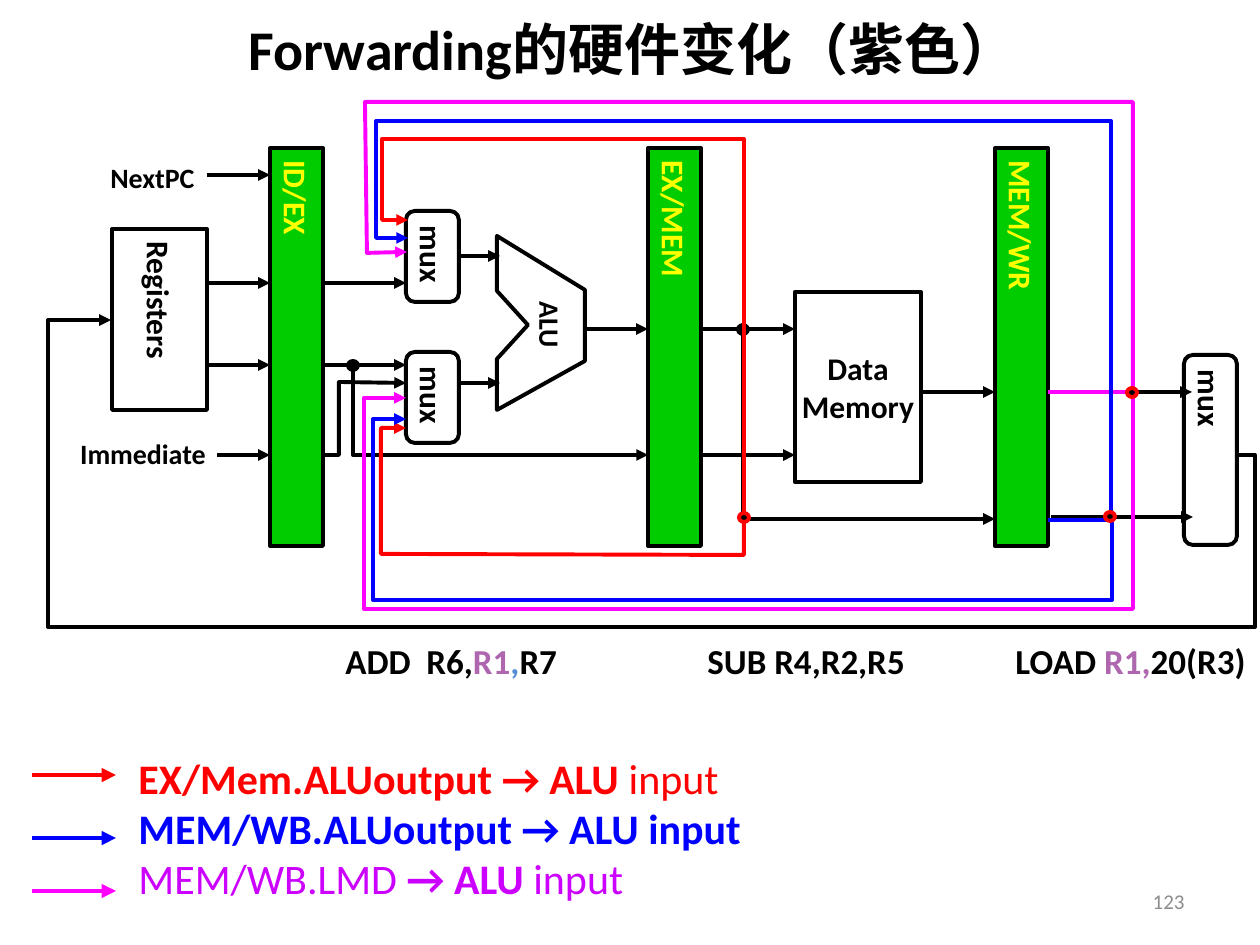
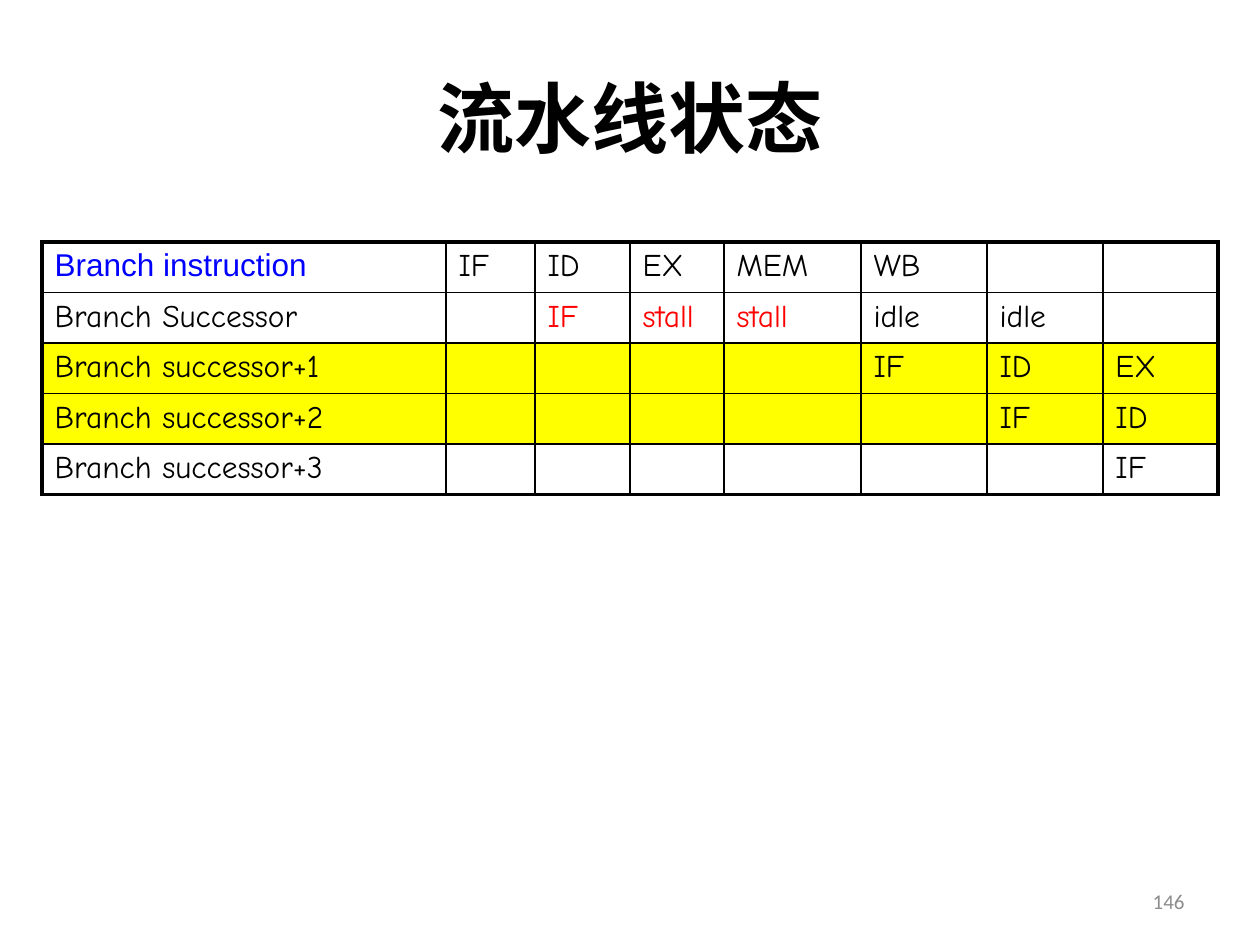
"""Build two slides on pipeline forwarding hardware and branch stalls."""
import pptx
import pptx.util
import pptx.dml.color
import pptx.enum.shapes
import pptx.enum.text
import pptx.oxml
import pptx.oxml.ns
from lxml import etree

PX = 914400 / 126
COLORS = {"black": "000000", "white": "FFFFFF", "green": "00CC00", "yellow": "FFFF00",
          "red": "FF0000", "blue": "0000FF", "magenta": "FF00FF", "violet": "CC00FF",
          "plum": "AE66AE", "steel": "558ED5", "gray": "8C8C8C"}
RGB = {name: pptx.dml.color.RGBColor.from_string(h) for name, h in COLORS.items()}
SHAPE = pptx.enum.shapes.MSO_SHAPE
ALIGN = pptx.enum.text.PP_ALIGN
ANCHOR = pptx.enum.text.MSO_ANCHOR
qn = pptx.oxml.ns.qn


def write(tf, paragraphs, size, align=ALIGN.LEFT, anchor=ANCHOR.MIDDLE, wrap=False, font="Calibri"):
    """Fill a text frame with paragraphs of (text, colour, bold) runs."""
    tf.word_wrap = wrap
    tf.vertical_anchor = anchor
    for i, runs in enumerate(paragraphs):
        p = tf.paragraphs[0] if i == 0 else tf.add_paragraph()
        p.alignment = align
        for text, color, bold in runs:
            r = p.add_run()
            r.text = text
            r.font.name = font
            r.font.size = pptx.util.Pt(size)
            r.font.bold = bold
            r.font.color.rgb = RGB[color]


def outline(sp, color, width=2.25, head=False):
    """Set a line colour and width, an optional arrowhead, and no shadow."""
    sp.line.color.rgb = RGB[color]
    sp.line.width = pptx.util.Pt(width)
    if head:
        etree.SubElement(sp.line._get_or_add_ln(), qn("a:tailEnd"), type="triangle")
    etree.SubElement(sp._element.spPr, qn("a:effectLst"))


prs = pptx.Presentation()
prs.slide_width, prs.slide_height = round(1260 * PX), round(945 * PX)

slides = []
for title, size, box, number in [
    ("Forwarding的硬件变化（紫色）", 32, (66, 0, 1134, 97), "123"),
    ("流水线状态", 44, (63, 38, 1134, 158), "146"),
]:
    s = prs.slides.add_slide(prs.slide_layouts[5])
    sp = s.shapes.title
    sp.left, sp.top, sp.width, sp.height = [round(v * PX) for v in box]
    write(sp.text_frame, [[(title, "black", True)]], size, ALIGN.CENTER, wrap=True)
    sp = s.shapes.add_textbox(*[round(v * PX) for v in (903, 876, 294, 50)])
    write(sp.text_frame, [[(number, "gray", False)]], 12, ALIGN.RIGHT, wrap=True)
    slides.append(s)

s = slides[0]
blocks = [
    (SHAPE.RECTANGLE, (270, 148, 53, 398), ["ID/EX"], "green", True),
    (SHAPE.RECTANGLE, (648, 148, 53, 398), ["EX/MEM"], "green", True),
    (SHAPE.RECTANGLE, (995, 148, 53, 398), ["MEM/WR"], "green", True),
    (SHAPE.RECTANGLE, (795, 292, 126, 190), ["Data", "Memory"], None, False),
    (SHAPE.RECTANGLE, (112, 229, 95, 181), ["Registers"], None, True),
    (SHAPE.ROUNDED_RECTANGLE, (406, 211, 53, 91), ["mux"], None, True),
    (SHAPE.ROUNDED_RECTANGLE, (406, 352, 53, 91), ["mux"], None, True),
    (SHAPE.ROUNDED_RECTANGLE, (1184, 355, 53, 190), ["mux"], None, True),
]
for kind, box, lines, fill, vertical in blocks:
    sp = s.shapes.add_shape(kind, *[round(v * PX) for v in box])
    if fill:
        sp.fill.solid()
        sp.fill.fore_color.rgb = RGB[fill]
    else:
        sp.fill.background()
    outline(sp, "black")
    color = "yellow" if fill else "black"
    write(sp.text_frame, [[(t, color, True)] for t in lines], 18, ALIGN.CENTER)
    if vertical:
        sp.text_frame._txBody.bodyPr.set("vert", "eaVert")

alu = [(497, 236), (585, 290), (585, 361), (497, 410), (497, 359), (528, 325), (497, 291)]
fb = s.shapes.build_freeform(*alu[0], scale=PX)
fb.add_line_segments(alu[1:], close=True)
sp = fb.convert_to_shape()
sp.fill.background()
outline(sp, "black")

for text, box, angle in [("ALU", (514, 301, 73, 47), 90),
                         ("NextPC", (97, 154, 111, 47), 0),
                         ("Immediate", (67, 430, 152, 47), 0)]:
    sp = s.shapes.add_textbox(*[round(v * PX) for v in box])
    sp.rotation = angle
    write(sp.text_frame, [[(text, "black", True)]], 16, ALIGN.CENTER)

straight = [(459, 256, 500), (459, 383, 500), (207, 283, 270), (207, 365, 270),
            (321, 283, 406), (321, 365, 406), (207, 175, 270), (217, 455, 270),
            (699, 455, 795), (585, 329, 648), (699, 329, 795), (921, 392, 995),
            (1051, 517, 1193), (1048, 392, 1192)]
wires = [("black", [(x1, y), (x2, y)]) for x1, y, x2 in straight]
wires += [
    ("black", [(321, 455), (339, 455), (339, 382), (406, 383)]),
    ("black", [(353, 365), (353, 455), (648, 455)]),
    ("black", [(743, 329), (743, 519), (995, 519)]),
    ("black", [(1235, 455), (1255, 455), (1255, 627), (48, 627), (48, 320), (111, 320)]),
]
forwards = [
    ("red", [(744, 519), (744, 555), (381, 554), (381, 428), (406, 428)]),
    ("magenta", [(1133, 392), (1133, 102), (365, 102), (367, 253), (407, 252)]),
    ("blue", [(1048, 520), (1112, 520), (1112, 600), (373, 600), (373, 419), (406, 419)]),
    ("magenta", [(1048, 392), (1133, 392), (1133, 609), (364, 609), (364, 398), (406, 398)]),
    ("red", [(744, 519), (744, 139), (382, 139), (382, 220), (408, 220)]),
    ("blue", [(1111, 519), (1111, 121), (376, 121), (376, 238), (408, 238)]),
]
legend = [("red", [(32, 775), (116, 775)]), ("blue", [(32, 838), (116, 838)]),
          ("magenta", [(32, 891), (116, 891)])]
black_dots = [("black", [(743, 329)]), ("black", [(353, 365)])]
red_dots = [("red", [(744, 517)]), ("red", [(1110, 516)]), ("red", [(1132, 392)])]

for color, points in wires + black_dots + forwards + red_dots + legend:
    if len(points) == 1:
        x, y = points[0]
        sp = s.shapes.add_shape(SHAPE.OVAL, *[round(v * PX) for v in (x - 5, y - 4, 10, 9)])
        sp.fill.solid()
        sp.fill.fore_color.rgb = RGB["black"]
        outline(sp, color)
    elif len(points) == 2:
        ends = [round(v * PX) for point in points for v in point]
        sp = s.shapes.add_connector(pptx.enum.shapes.MSO_CONNECTOR.STRAIGHT, *ends)
        outline(sp, color, 2.75 if (color, points) in legend else 2.25, head=True)
    else:
        fb = s.shapes.build_freeform(*points[0], scale=PX)
        fb.add_line_segments(points[1:], close=False)
        sp = fb.convert_to_shape()
        sp.fill.background()
        outline(sp, color, head=True)

sp = s.shapes.add_textbox(*[round(v * PX) for v in (126, 746, 727, 164)])
write(sp.text_frame, [
    [("EX/Mem.ALUoutput → ALU", "red", True), (" input", "red", False)],
    [("MEM/WB.ALUoutput → ALU input", "blue", True)],
    [("MEM/WB.LMD ", "violet", False), ("→ ALU", "violet", True), (" input", "violet", False)],
], 24, anchor=ANCHOR.TOP)

sp = s.shapes.add_textbox(*[round(v * PX) for v in (333, 633, 927, 55)])
pPr = sp.text_frame.paragraphs[0]._p.get_or_add_pPr()
tabs = etree.SubElement(pPr, qn("a:tabLst"))
for x in (81, 362, 670):
    etree.SubElement(tabs, qn("a:tab"), pos=str(round(x * PX)), algn="l")
write(sp.text_frame, [[
    ("ADD\tR6,", "black", True), ("R1", "plum", True), (",", "steel", True),
    ("R7\tSUB R4,R2,R5\tLOAD ", "black", True), ("R1,", "plum", True), ("20(R3)", "black", True),
]], 20, anchor=ANCHOR.TOP, wrap=True)

s = slides[1]
stages = [
    ["Branch instruction", "IF", "ID", "EX", "MEM", "WB", "", ""],
    ["Branch Successor", "", "IF", "stall", "stall", "idle", "idle", ""],
    ["Branch successor+1", "", "", "", "", "IF", "ID", "EX"],
    ["Branch successor+2", "", "", "", "", "", "IF", "ID"],
    ["Branch successor+3", "", "", "", "", "", "", "IF"],
]
widths = [404, 89, 95, 94, 137, 126, 116, 115]
last_row, last_col = len(stages) - 1, len(widths) - 1
box = (42, 242, sum(widths), 49 * len(stages))
table = s.shapes.add_table(len(stages), len(widths), *[round(v * PX) for v in box]).table
table.first_row = table.horz_banding = False
for col, width in zip(table.columns, widths):
    col.width = round(width * PX)
for i, row in enumerate(stages):
    table.rows[i].height = round(49 * PX)
    for j, text in enumerate(row):
        cell = table.cell(i, j)
        tcPr = cell._tc.get_or_add_tcPr()
        for side, outer in [("L", j == 0), ("R", j == last_col), ("T", i == 0), ("B", i == last_row)]:
            ln = etree.SubElement(tcPr, qn("a:ln" + side), w="28575" if outer else "12700")
            etree.SubElement(etree.SubElement(ln, qn("a:solidFill")), qn("a:srgbClr"), val=COLORS["black"])
        cell.fill.solid()
        cell.fill.fore_color.rgb = RGB["yellow" if i in (2, 3) else "white"]
        if text:
            heading = i == j == 0
            stalled = i == 1 and 2 <= j <= 4
            color = "blue" if heading else "red" if stalled else "black"
            write(cell.text_frame, [[(text, color, False)]], 18, anchor=ANCHOR.TOP, wrap=True,
                  font="Arial" if heading else "Comic Neue")

prs.save("out.pptx")
